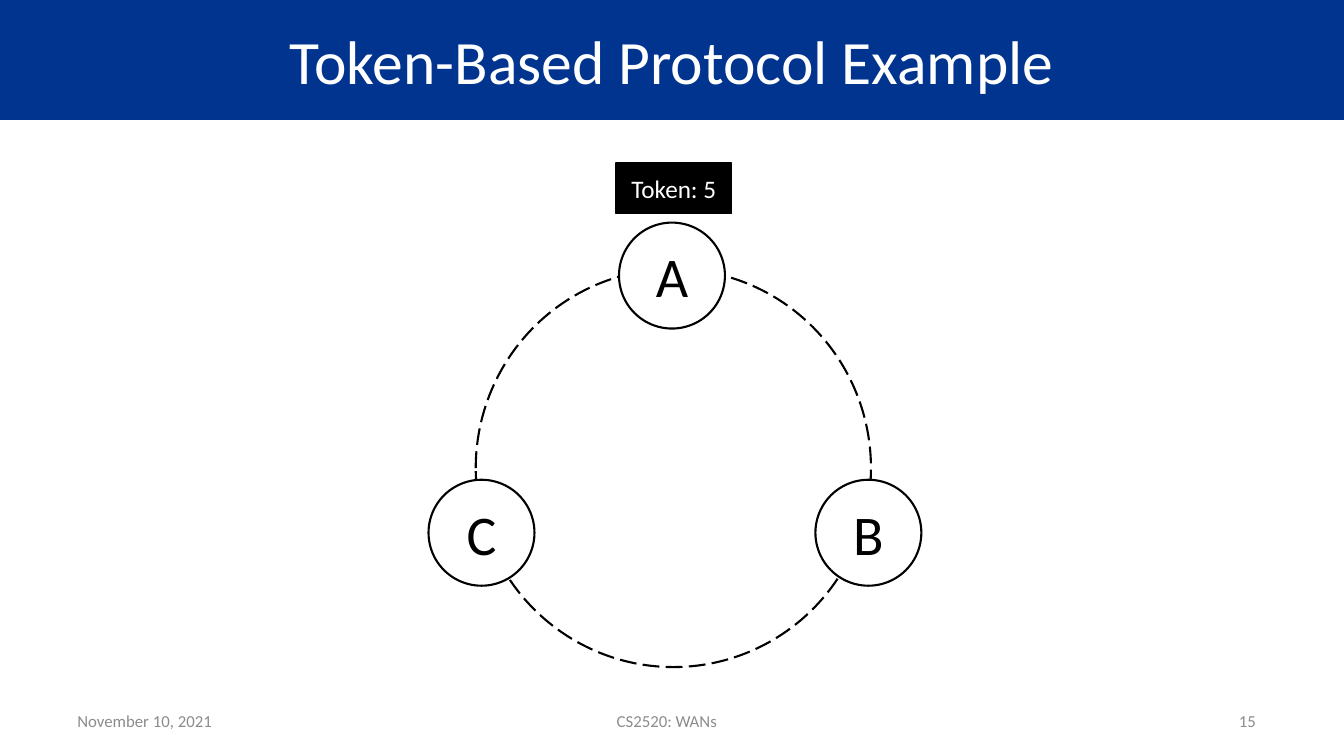
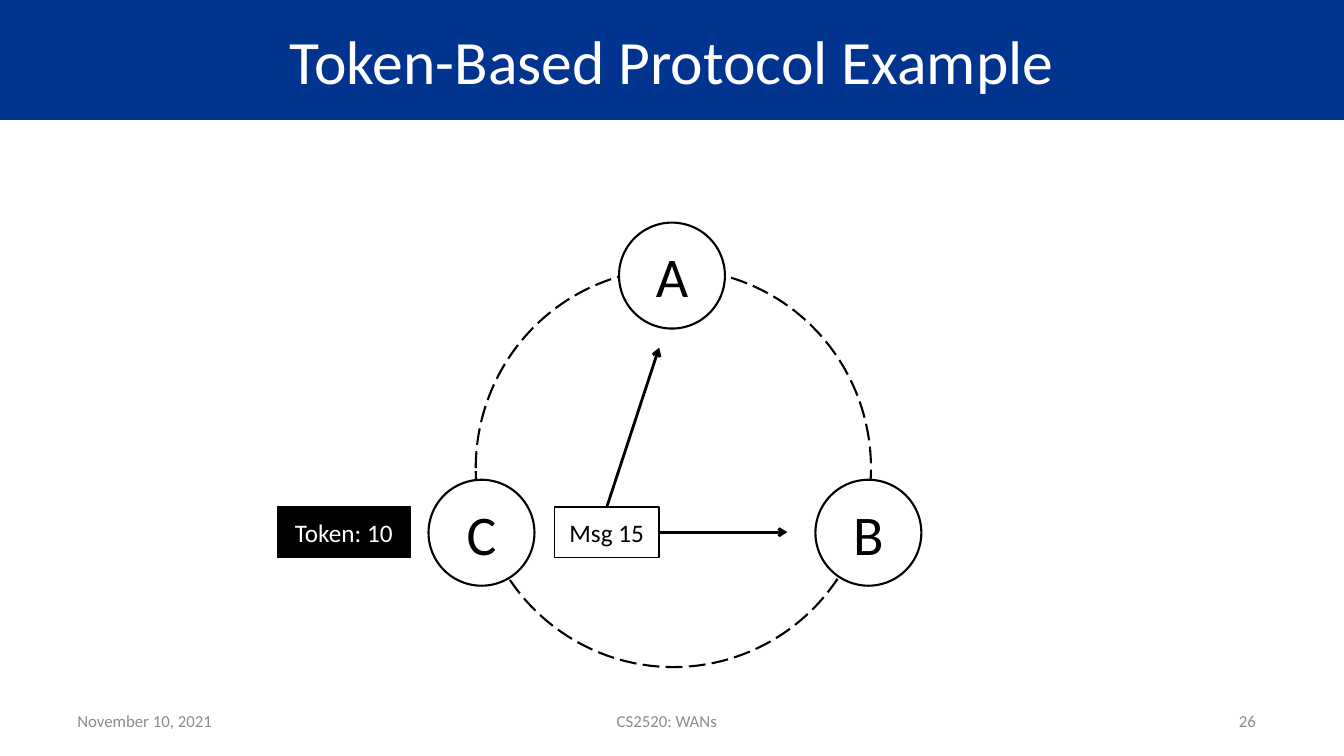
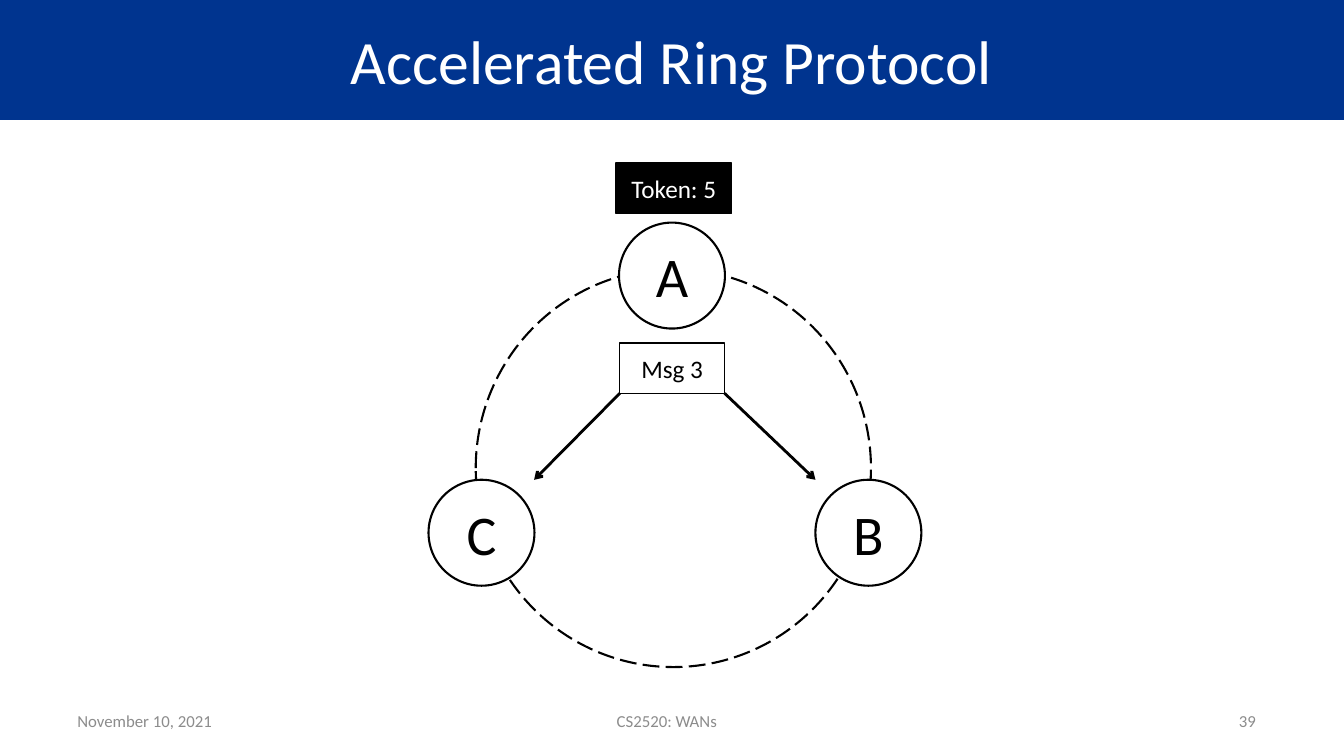
"""Build three slides that show a token passing round a ring of three nodes."""
from pptx import Presentation
from pptx.dml.color import RGBColor
from pptx.enum.dml import MSO_LINE as Dash
from pptx.enum.shapes import MSO_CONNECTOR as Link, MSO_SHAPE as Kind
from pptx.enum.text import MSO_ANCHOR as Anchor, PP_ALIGN as Align
from pptx.oxml.ns import qn
from pptx.util import Cm, Pt
from lxml.etree import SubElement

BLUE = RGBColor(0x00, 0x34, 0x8F)
WHITE = RGBColor(0xFF, 0xFF, 0xFF)
BLACK = RGBColor(0x00, 0x00, 0x00)
GRAY = RGBColor(0x8C, 0x8C, 0x8C)

WIDE, HIGH = 33.87, 19.05
NODE, TALL = 2.67, 1.27
NODES = {"A": (15.6, 5.61), "B": (20.55, 12.09), "C": (10.8, 12.09)}
FOOTS = [(1.7, 4.17, Align.LEFT), (5.21, 23.19, Align.CENTER), (28.37, 3.53, Align.RIGHT)]

PAGES = [
    {"title": "Token-Based Protocol Example", "page": "15",
     "token": ("Token: 5", 15.52, 4.11, 2.92), "msg": None, "arrows": []},
    {"title": "Token-Based Protocol Example", "page": "26",
     "token": ("Token: 10", 6.99, 12.78, 3.35), "msg": ("Msg 15", 13.97, 12.78, 2.64),
     "arrows": [(16.61, 13.41, 19.84, 13.41), (15.29, 12.78, 16.61, 8.76)]},
    {"title": "Accelerated Ring Protocol", "page": "39",
     "token": ("Token: 5", 15.52, 4.11, 2.92), "msg": ("Msg 3", 15.62, 8.64, 2.64),
     "arrows": [(15.62, 9.91, 13.46, 12.09), (18.26, 9.91, 20.55, 12.09)]},
]


def write(shape, text, size, color, align=Align.CENTER):
    frame = shape.text_frame
    frame.text = text
    frame.word_wrap = True
    frame.vertical_anchor = Anchor.MIDDLE
    para = frame.paragraphs[0]
    para.alignment = align
    font = para.runs[0].font
    for name, value in {"name": "Calibri", "size": Pt(size), "bold": False}.items():
        setattr(font, name, value)
    font.color.rgb = color


def draw(slide, kind, box, fill, line):
    shape = slide.shapes.add_shape(kind, *map(Cm, box))
    shape.shadow.inherit = False
    if fill is None:
        shape.fill.background()
    else:
        shape.fill.solid()
        shape.fill.fore_color.rgb = fill
    shape.line.color.rgb = BLACK
    shape.line.width = Pt(line)
    return shape


deck = Presentation()
deck.slide_width, deck.slide_height = Cm(WIDE), Cm(HIGH)

for page in PAGES:
    slide = deck.slides.add_slide(deck.slide_layouts[5])

    title = slide.shapes.title
    place = {"left": 0, "top": 0, "width": WIDE, "height": 3.02}
    for name, value in place.items():
        setattr(title, name, Cm(value))
    title.fill.solid()
    title.fill.fore_color.rgb = BLUE
    write(title, page["title"], 44, WHITE)

    words = ["November 10, 2021", "CS2520: WANs", page["page"]]
    for text, (left, width, align) in zip(words, FOOTS):
        foot = slide.shapes.add_textbox(Cm(left), Cm(17.65), Cm(width), Cm(1.02))
        write(foot, text, 12, GRAY, align)

    ring = draw(slide, Kind.OVAL, (11.99, 6.78, 9.96, 10.03), None, 1.5)
    ring.line.dash_style = Dash.LONG_DASH
    for name, (left, top) in NODES.items():
        node = draw(slide, Kind.OVAL, (left, top, NODE, NODE), WHITE, 1.5)
        write(node, name, 40, BLACK)

    for label, fill, ink in [(page["token"], BLACK, WHITE), (page["msg"], WHITE, BLACK)]:
        if label:
            text, *box = label
            write(draw(slide, Kind.RECTANGLE, (*box, TALL), fill, 1), text, 18, ink)

    for ends in page["arrows"]:
        arrow = slide.shapes.add_connector(Link.STRAIGHT, *map(Cm, ends))
        arrow.line.color.rgb = BLACK
        arrow.line.width = Pt(2)
        SubElement(arrow.line._get_or_add_ln(), qn("a:tailEnd"), type="arrow")
        SubElement(arrow._element.spPr, qn("a:effectLst"))

deck.save("out.pptx")
